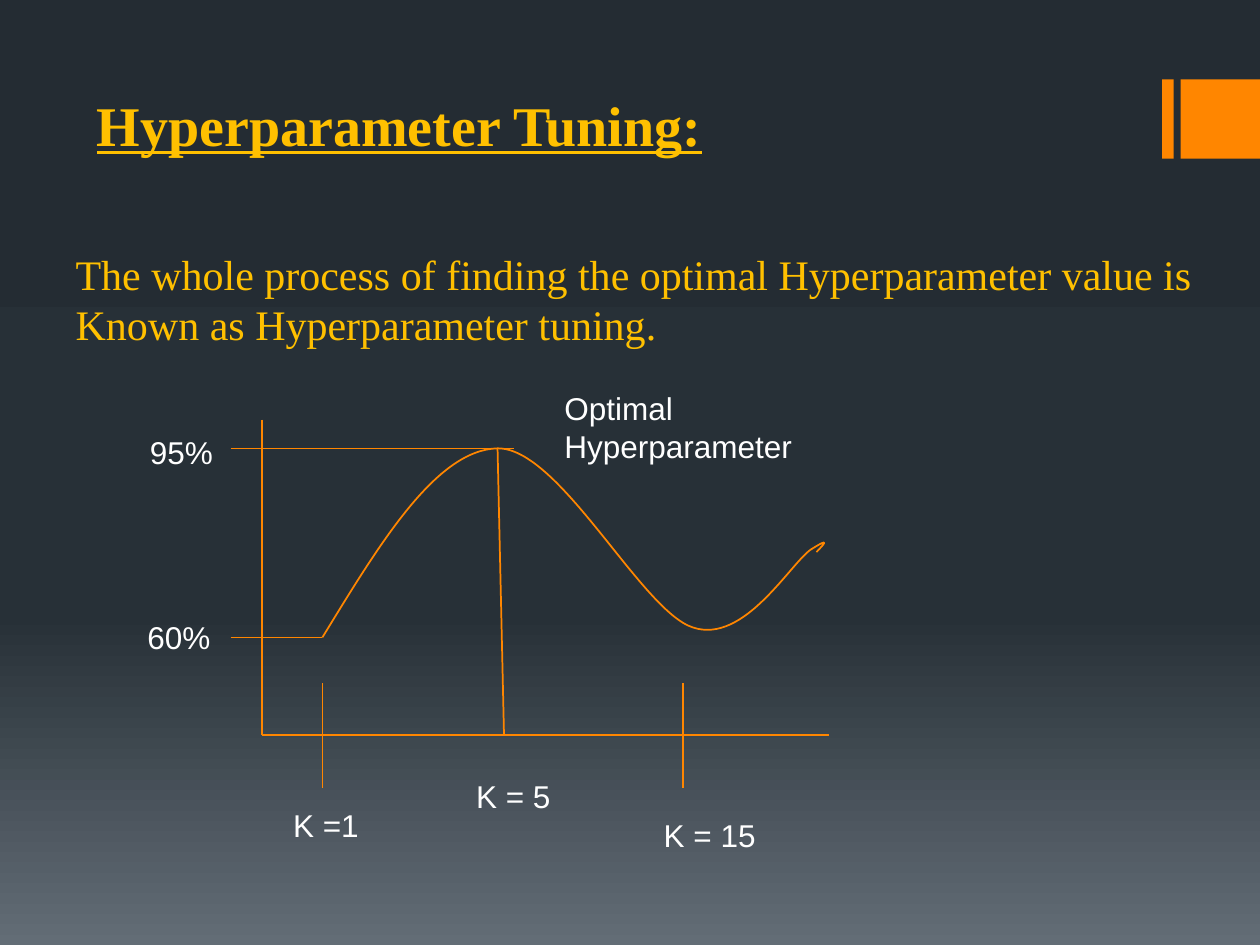
from copy import deepcopy

from lxml import etree
from pptx import Presentation
from pptx.dml.color import RGBColor
from pptx.enum.shapes import MSO_CONNECTOR, MSO_SHAPE
from pptx.enum.text import MSO_ANCHOR, MSO_AUTO_SIZE, PP_ALIGN
from pptx.oxml.ns import qn
from pptx.util import Cm, Pt

STRAIGHT = MSO_CONNECTOR.STRAIGHT
RECTANGLE = MSO_SHAPE.RECTANGLE
TOP = MSO_ANCHOR.TOP
NO_AUTOFIT = MSO_AUTO_SIZE.NONE
LEFT = PP_ALIGN.LEFT

ORANGE = RGBColor(0xFF, 0x86, 0x00)
GOLD = RGBColor(0xFF, 0xC0, 0x00)
WHITE = RGBColor(0xFF, 0xFF, 0xFF)
NIGHT = RGBColor(0x24, 0x2C, 0x33)
SLATE = RGBColor(0x27, 0x30, 0x37)
MIST = RGBColor(0x63, 0x6D, 0x76)

TITLE = {"name": "Times New Roman", "size": Pt(32), "bold": True, "underline": True}
BODY = {"name": "Times New Roman", "size": Pt(24)}
LABEL = {"name": "Arial", "size": Pt(18)}


class SlideBuilder:
    """Holds the drawing style and the current slide."""

    line_color = ORANGE
    line_width = Pt(1)

    def __init__(self, slide):
        self.slide = slide

    def background(self, stops):
        fill = self.slide.background.fill
        fill.gradient()
        fill.gradient_angle = 270
        stop_list = self.slide.element.find(".//" + qn("a:gsLst"))
        while len(stop_list) < len(stops):
            stop_list.append(deepcopy(stop_list[-1]))
        for stop, (position, color) in zip(fill.gradient_stops, stops):
            stop.position = position
            stop.color.rgb = color

    def set_text(self, shape, text, style, color, wrap):
        frame = shape.text_frame
        frame.auto_size = NO_AUTOFIT
        frame.word_wrap = wrap
        frame.vertical_anchor = TOP
        paragraph = frame.paragraphs[0]
        paragraph.alignment = LEFT
        paragraph.space_before = Pt(0)
        run = paragraph.add_run()
        run.text = text
        for name, value in style.items():
            setattr(run.font, name, value)
        run.font.color.rgb = color

    def placeholder(self, index, text, box, style, wrap=True):
        shape = self.slide.placeholders[index]
        shape.left, shape.top, shape.width, shape.height = map(Cm, box)
        self.set_text(shape, text, style, GOLD, wrap)
        properties = shape.text_frame.paragraphs[0]._p.get_or_add_pPr()
        properties.set("marL", "0")
        properties.set("indent", "0")
        etree.SubElement(properties, qn("a:buNone"))

    def label(self, text, left, top, width, height=1.02, wrap=False):
        box = map(Cm, (left, top, width, height))
        shape = self.slide.shapes.add_textbox(*box)
        self.set_text(shape, text, LABEL, WHITE, wrap)

    def bar(self, left, top, width, height):
        box = map(Cm, (left, top, width, height))
        shape = self.slide.shapes.add_shape(RECTANGLE, *box)
        shape.shadow.inherit = False
        shape.fill.solid()
        shape.fill.fore_color.rgb = ORANGE
        shape.line.fill.background()

    def stroke(self, shape):
        shape.line.color.rgb = self.line_color
        shape.line.width = self.line_width

    def line(self, *ends):
        connector = self.slide.shapes.add_connector(STRAIGHT, *map(Cm, ends))
        self.stroke(connector)
        etree.SubElement(connector.element.spPr, qn("a:effectLst"))

    def curve(self, start, points):
        """Draw a cubic curve; every three points are two handles and an end."""
        builder = self.slide.shapes.build_freeform(*map(Cm, start))
        builder.add_line_segments([(Cm(x), Cm(y)) for x, y in points], close=False)
        shape = builder.convert_to_shape()
        shape.shadow.inherit = False
        shape.fill.background()
        self.stroke(shape)
        # Turn each group of three straight segments into one curve segment
        outline = shape.element.spPr.find(".//" + qn("a:path"))
        segments = outline.findall(qn("a:lnTo"))
        for first in range(0, len(segments), 3):
            bezier = etree.SubElement(outline, qn("a:cubicBezTo"))
            for segment in segments[first:first + 3]:
                bezier.append(segment[0])
                outline.remove(segment)


presentation = Presentation()
presentation.slide_width = Cm(25.4)
presentation.slide_height = Cm(19.05)
builder = SlideBuilder(presentation.slides.add_slide(presentation.slide_layouts[1]))

# Background and corner bars
builder.background([(0, NIGHT), (0.65, SLATE), (1, MIST)])
for left, width in ((23.43, 0.23), (23.8, 1.6)):
    builder.bar(left, 1.6, width, 1.6)

# Title and definition
builder.placeholder(0, "Hyperparameter Tuning:", (1.7, 1.7, 12.8, 1.63), TITLE, wrap=False)
builder.placeholder(
    1,
    "The whole process of finding the optimal Hyperparameter value is "
    "Known as Hyperparameter tuning.",
    (1.27, 4.88, 23.7, 2.31), BODY)

# Axes
axis_x, axis_y = 5.28, 14.81
builder.line(axis_x, 8.46, axis_x, axis_y)
builder.line(axis_x, axis_y, 16.71, axis_y)

# Accuracy curve
start_x, start_y = 6.5, 12.85
peak_x, peak_y = 10.03, 9.04
builder.curve((start_x, start_y), [
    (7.65, 10.97), (8.79, 9.07), (peak_x, peak_y),
    (11.28, 9.02), (12.93, 12.32), (13.97, 12.65),
    (15.01, 13), (15.95, 11.33), (16.36, 11.07),
    (16.76, 10.82), (16.61, 10.97), (16.46, 11.13),
])

# Guide lines and ticks
for tick_x in (start_x, 13.77):
    builder.line(tick_x, 13.77, tick_x, 15.88)
for guide_y, guide_end in ((peak_y, 10.36), (start_y, start_x)):
    builder.line(4.65, guide_y, guide_end, guide_y)
builder.line(peak_x, peak_y, 10.16, axis_y)

# Labels
for text, left, top, width in (
    ("K =1", 5.66, 16.13, 1.85),
    ("K = 5", 9.35, 15.54, 2.03),
    ("K = 15", 13.13, 16.33, 2.39),
    ("95%", 2.77, 8.61, 1.8),
    ("60%", 2.72, 12.34, 1.8),
):
    builder.label(text, left, top, width)
builder.label("Optimal Hyperparameter", 11.13, 7.72, 6.45, 1.8, wrap=True)

presentation.save("out.pptx")
